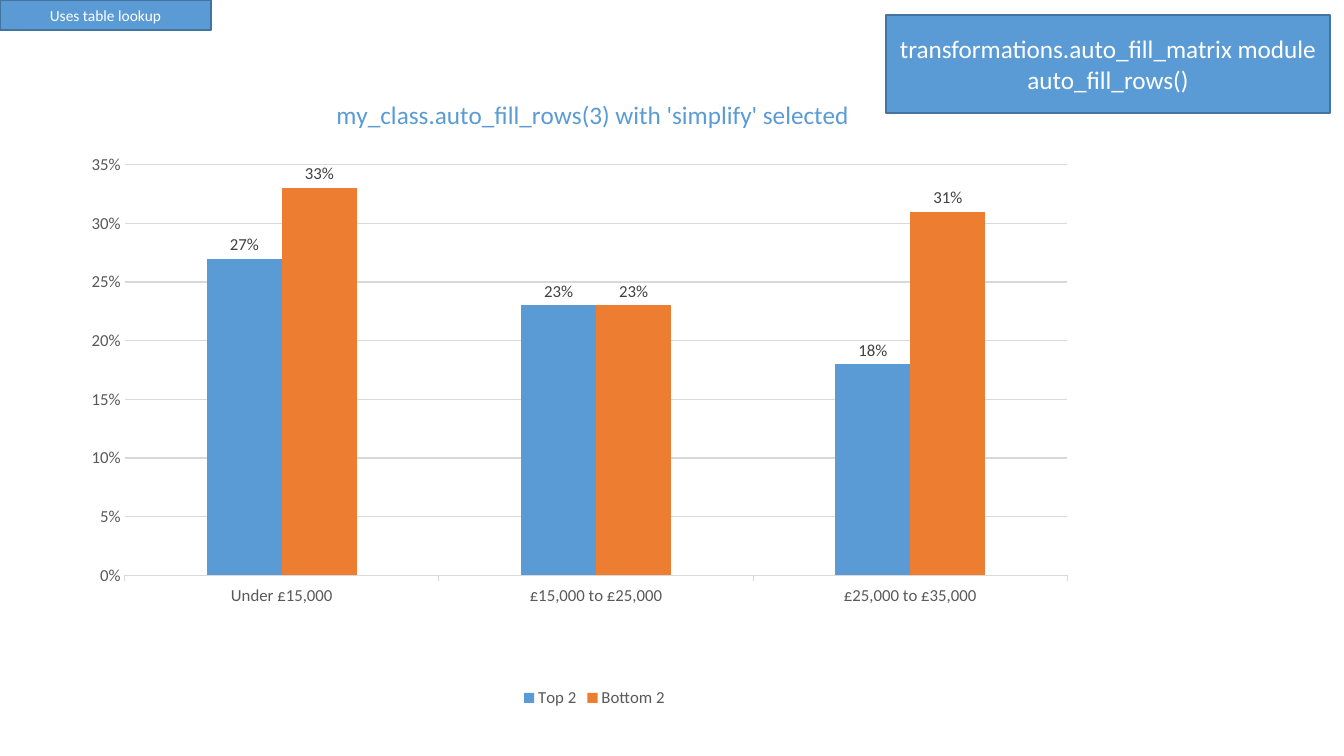
from lxml.etree import SubElement
from pptx import Presentation
from pptx.chart.data import CategoryChartData
from pptx.dml.color import RGBColor
from pptx.enum.chart import (XL_AXIS_CROSSES, XL_CHART_TYPE, XL_LABEL_POSITION,
                             XL_LEGEND_POSITION, XL_TICK_MARK)
from pptx.enum.shapes import MSO_SHAPE
from pptx.enum.text import MSO_ANCHOR, PP_ALIGN
from pptx.oxml.ns import qn
from pptx.util import Pt

PX = 914400 / 100.8
FONT = "Calibri"
COLORS = {name: RGBColor.from_string(value) for name, value in {
    "blue": "5B9BD5", "orange": "ED7D31", "border": "43739E", "grid": "D9D9D9",
    "axis_text": "595959", "label_text": "404040", "white": "FFFFFF"}.items()}


def style_font(font, size, color):
    font.name = FONT
    font.size = Pt(size)
    font.bold = False
    font.color.rgb = COLORS[color]


def place_by_fraction(element, index, **settings):
    """Give a chart part a manual layout, as fractions of the chart."""
    for old in element.findall(qn("c:layout")):
        element.remove(old)
    layout = SubElement(element, qn("c:layout"))
    element.insert(index, layout)
    manual = SubElement(layout, qn("c:manualLayout"))
    for tag, value in settings.items():
        SubElement(manual, qn(f"c:{tag}")).set("val", str(value))


deck = Presentation()
deck.slide_width, deck.slide_height = round(1344 * PX), round(756 * PX)
page = deck.slides.add_slide(deck.slide_layouts[6])

# Column chart
data = CategoryChartData(number_format="0%")
data.categories = ["Under £15,000", "£15,000 to £25,000", "£25,000 to £35,000"]
data.add_series("Top 2", [0.27, 0.23, 0.18])
data.add_series("Bottom 2", [0.33, 0.23, 0.31])
chart = page.shapes.add_chart(
    XL_CHART_TYPE.COLUMN_CLUSTERED,
    *[round(length * PX) for length in (69, 80, 1051, 632)], data).chart
style_font(chart.font, 12, "axis_text")

chart.has_title = True
title = chart.chart_title
span = title.text_frame.paragraphs[0].add_run()
span.text = "my_class.auto_fill_rows(3) with 'simplify' selected"
style_font(span.font, 18, "blue")
title.include_in_layout = False
place_by_fraction(title._element, 1, xMode="edge", yMode="edge", x=0.25, y=0.02)

chart.has_legend = True
chart.legend.position = XL_LEGEND_POSITION.BOTTOM
chart.legend.include_in_layout = False
style_font(chart.legend.font, 12, "axis_text")

categories = chart.category_axis
categories.crosses = XL_AXIS_CROSSES.MAXIMUM
categories.major_tick_mark = XL_TICK_MARK.OUTSIDE
categories.format.line.color.rgb = COLORS["grid"]
categories.format.line.width = Pt(0.75)

values = chart.value_axis
values.minimum_scale, values.maximum_scale, values.major_unit = 0, 0.35, 0.05
values.major_tick_mark = XL_TICK_MARK.NONE
values.format.line.fill.background()
values.major_gridlines.format.line.color.rgb = COLORS["grid"]
values.major_gridlines.format.line.width = Pt(0.75)
values.tick_labels.number_format = "0%"
values.tick_labels.number_format_is_linked = False
for axis in (categories, values):
    style_font(axis.tick_labels.font, 12, "axis_text")

plot = chart.plots[0]
plot.gap_width = 219
plot.overlap = 0
plot.vary_by_categories = False
for series, color in zip(plot.series, ("blue", "orange")):
    series.format.fill.solid()
    series.format.fill.fore_color.rgb = COLORS[color]
    labels = series.data_labels
    labels.show_value = True
    labels.position = XL_LABEL_POSITION.OUTSIDE_END
    labels.number_format = "0%"
    labels.number_format_is_linked = False
    style_font(labels.font, 12, "label_text")
place_by_fraction(chart._chartSpace.chart.plotArea, 0, layoutTarget="inner",
                  xMode="edge", yMode="edge", x=0.053, y=0.134, w=0.897, h=0.65)

# Captions
captions = [
    ((886, 15, 444, 98), 18,
     ["transformations.auto_fill_matrix module", "auto_fill_rows()"]),
    ((0, 0, 211, 30), 11, ["Uses table lookup"]),
]
for bounds, size, lines in captions:
    box = page.shapes.add_shape(MSO_SHAPE.RECTANGLE,
                                *[round(length * PX) for length in bounds])
    box.shadow.inherit = False
    box.fill.solid()
    box.fill.fore_color.rgb = COLORS["blue"]
    box.line.color.rgb = COLORS["border"]
    box.line.width = Pt(1)
    frame = box.text_frame
    frame.word_wrap = True
    frame.vertical_anchor = MSO_ANCHOR.MIDDLE
    for number, line in enumerate(lines):
        para = frame.add_paragraph() if number else frame.paragraphs[0]
        para.alignment = PP_ALIGN.CENTER
        span = para.add_run()
        span.text = line
        style_font(span.font, size, "white")

deck.save("out.pptx")
